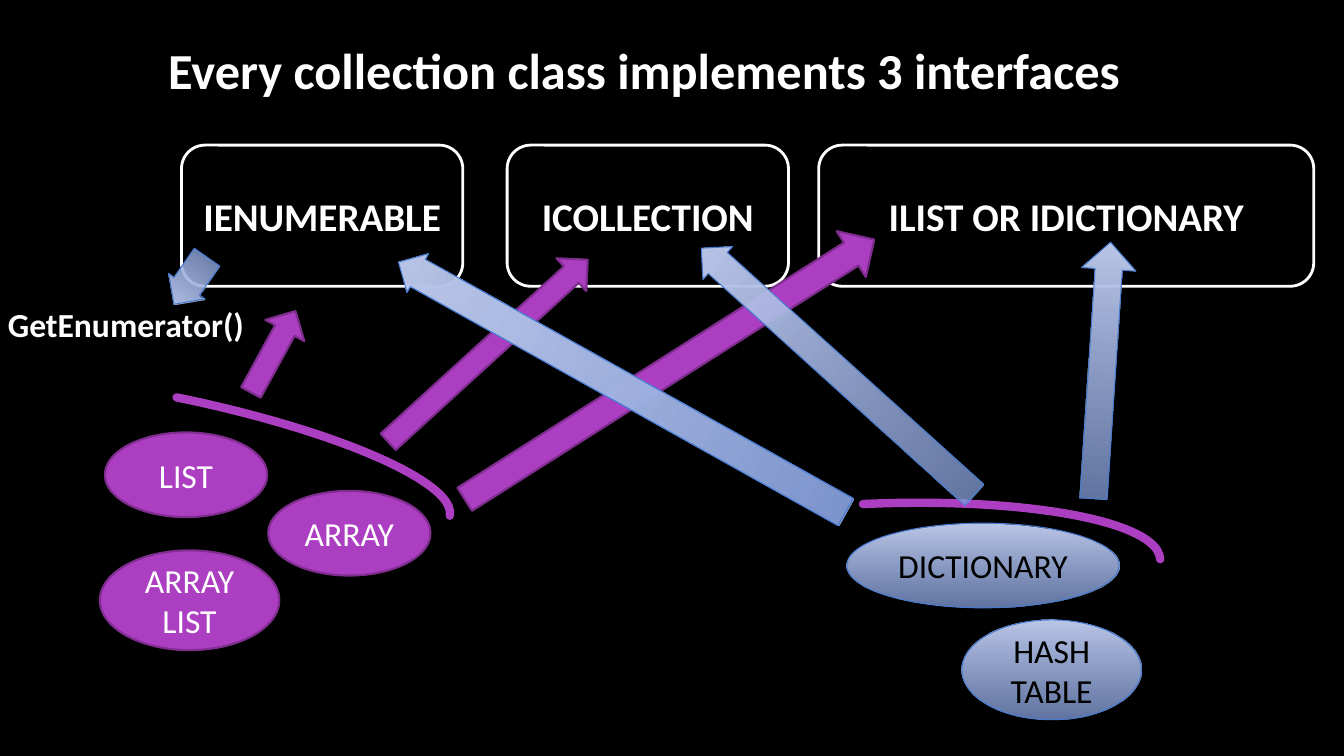
from lxml.etree import SubElement
from pptx import Presentation
from pptx.dml.color import RGBColor
from pptx.enum.shapes import MSO_SHAPE as Preset
from pptx.enum.text import MSO_ANCHOR as Anchor, MSO_AUTO_SIZE as AutoSize, PP_ALIGN as Align
from pptx.oxml.ns import qn
from pptx.util import Inches, Pt

BLACK = RGBColor(0x00, 0x00, 0x00)
WHITE = RGBColor(0xFF, 0xFF, 0xFF)
PURPLE = RGBColor(0xAC, 0x3E, 0xC1)
PURPLE_EDGE = RGBColor(0x7F, 0x2E, 0x8F)
BLUE_LIGHT = RGBColor(0xBC, 0xC8, 0xE9)
BLUE_DEEP = RGBColor(0x85, 0x9E, 0xDA)
BLUE_EDGE = RGBColor(0x47, 0x7B, 0xD1)


def write(frame, lines, size, color, bold=False, align=Align.CENTER):
    """Write one paragraph per line into a text frame."""
    for index, line in enumerate(lines):
        paragraph = frame.paragraphs[0] if index == 0 else frame.add_paragraph()
        paragraph.alignment = align
        run = paragraph.add_run()
        run.text = line
        run.font.name = "Calibri"
        run.font.size = Pt(size)
        run.font.bold = bold
        run.font.color.rgb = color


def add_label(slide, box, text, size):
    """Add a bold white line of text that does not wrap."""
    label = slide.shapes.add_textbox(*map(Inches, box))
    label.text_frame.word_wrap = False
    label.text_frame.auto_size = AutoSize.SHAPE_TO_FIT_TEXT
    write(label.text_frame, [text], size, WHITE, True, Align.LEFT)


def add_outlined(slide, preset, box, edge, width, turn=0):
    """Add a preset shape with a coloured outline and no shadow."""
    shape = slide.shapes.add_shape(preset, *map(Inches, box))
    shape.shadow.inherit = False
    shape.rotation = turn
    shape.line.color.rgb = edge
    shape.line.width = Pt(width)
    return shape


def paint_purple(shape):
    """Fill a shape with solid purple."""
    shape.fill.solid()
    shape.fill.fore_color.rgb = PURPLE


def paint_blue(shape):
    """Fill a shape with a downward blue gradient that turns translucent."""
    shape.fill.gradient()
    shape.fill.gradient_angle = 270
    for stop, color in zip(shape.fill.gradient_stops, (BLUE_LIGHT, BLUE_DEEP)):
        stop.color.rgb = color
    deep = shape._element.spPr.findall(".//" + qn("a:srgbClr"))[1]
    SubElement(deep, qn("a:alpha")).set("val", "74000")


PURPLE_LOOK = (paint_purple, PURPLE_EDGE, 1.5, WHITE)
BLUE_LOOK = (paint_blue, BLUE_EDGE, 0.75, BLACK)


def add_arrow(slide, box, turn, look, shaft=0.5):
    """Add a turned block arrow with the given shaft thickness."""
    paint, edge, width, _ = look
    arrow = add_outlined(slide, Preset.UP_ARROW, box, edge, width, turn)
    arrow.adjustments[0] = shaft
    paint(arrow)


def add_class(slide, box, lines, look):
    """Add an ellipse that names a collection class."""
    paint, edge, width, ink = look
    ellipse = add_outlined(slide, Preset.OVAL, box, edge, width)
    paint(ellipse)
    ellipse.text_frame.vertical_anchor = Anchor.MIDDLE
    write(ellipse.text_frame, lines, 24, ink)


def add_arc(slide, box, turn):
    """Add a thick purple arc with round ends."""
    arc = add_outlined(slide, Preset.ARC, box, PURPLE, 6, turn)
    arc.fill.background()
    arc._element.spPr.find(qn("a:ln")).set("cap", "rnd")


def add_interface(slide, box, name):
    """Add a rounded box that names an interface."""
    frame = add_outlined(slide, Preset.ROUNDED_RECTANGLE, box, WHITE, 2)
    frame.fill.solid()
    frame.fill.fore_color.rgb = BLACK
    frame.text_frame.vertical_anchor = Anchor.MIDDLE
    write(frame.text_frame, [name], 28, WHITE, True)


def add_list_family(slide, left, top):
    """Add the list classes with their arc and arrows."""
    for dx, dy, width, height, lines in (
        (0.04, 1.29, 1.61, 0.84, ["LIST"]),
        (-0.01, 2.46, 1.78, 0.99, ["ARRAY", "LIST"]),
        (1.66, 1.87, 1.61, 0.84, ["ARRAY"]),
    ):
        add_class(slide, (left + dx, top + dy, width, height), lines, PURPLE_LOOK)
    add_arc(slide, (left - 2.26, top + 0.93, 5.78, 1.22), 11.5)
    for dx, dy, width, height, turn in (
        (1.49, 0.03, 0.44, 0.92, 28.7),
        (3.62, -0.86, 0.44, 2.68, 47.6),
        (5.37, -1.74, 0.54, 4.81, 57.6),
    ):
        add_arrow(slide, (left + dx, top + dy, width, height), turn, PURPLE_LOOK)


def add_dictionary_family(slide, left, top):
    """Add the dictionary classes with their arc and arrows."""
    add_class(slide, (left + 0.4, top + 0.19, 2.7, 0.84), ["DICTIONARY"], BLUE_LOOK)
    add_class(slide, (left + 1.54, top + 1.15, 1.78, 0.99), ["HASH TABLE"], BLUE_LOOK)
    add_arc(slide, (left - 2.33, top, 5.84, 1.36), 357.4)
    for dx, dy, width, height, turn, shaft in (
        (-2.05, -3.7, 0.44, 5.08, 299.2, 0.7),
        (0.09, -3.14, 0.44, 3.65, 312.1, 0.64),
        (2.66, -2.6, 0.54, 2.55, 3.8, 0.5),
    ):
        add_arrow(slide, (left + dx, top + dy, width, height), turn, BLUE_LOOK, shaft)


def add_enumerable(slide, left, top):
    """Add the enumerable interface, the arrows over it and its method."""
    add_interface(slide, (left, top, 2.79, 1.4), "IENUMERABLE")
    add_arrow(slide, (left + 4.15, top - 0.14, 0.44, 5.08), 299.2, BLUE_LOOK, 0.7)
    add_arrow(slide, (left - 0.13, top + 1.06, 0.44, 0.57), 215, BLUE_LOOK, 0.7)
    add_label(slide, (left - 1.82, top + 1.53, 2.57, 0.5), "GetEnumerator()", 24)


def main():
    """Build the slide and save it."""
    deck = Presentation()
    deck.slide_width, deck.slide_height = Inches(13.33), Inches(7.5)
    slide = deck.slides.add_slide(deck.slide_layouts[6])
    slide.background.fill.solid()
    slide.background.fill.fore_color.rgb = BLACK
    add_label(slide, (1.57, 0.34, 9.75, 0.71), "Every collection class implements 3 interfaces", 36)
    add_interface(slide, (5.03, 1.44, 2.79, 1.4), "ICOLLECTION")
    add_interface(slide, (8.12, 1.44, 4.91, 1.4), "ILIST OR IDICTIONARY")
    add_list_family(slide, 1, 3)
    add_dictionary_family(slide, 8, 5)
    add_enumerable(slide, 1.8, 1.44)
    deck.save("out.pptx")


if __name__ == "__main__":
    main()
